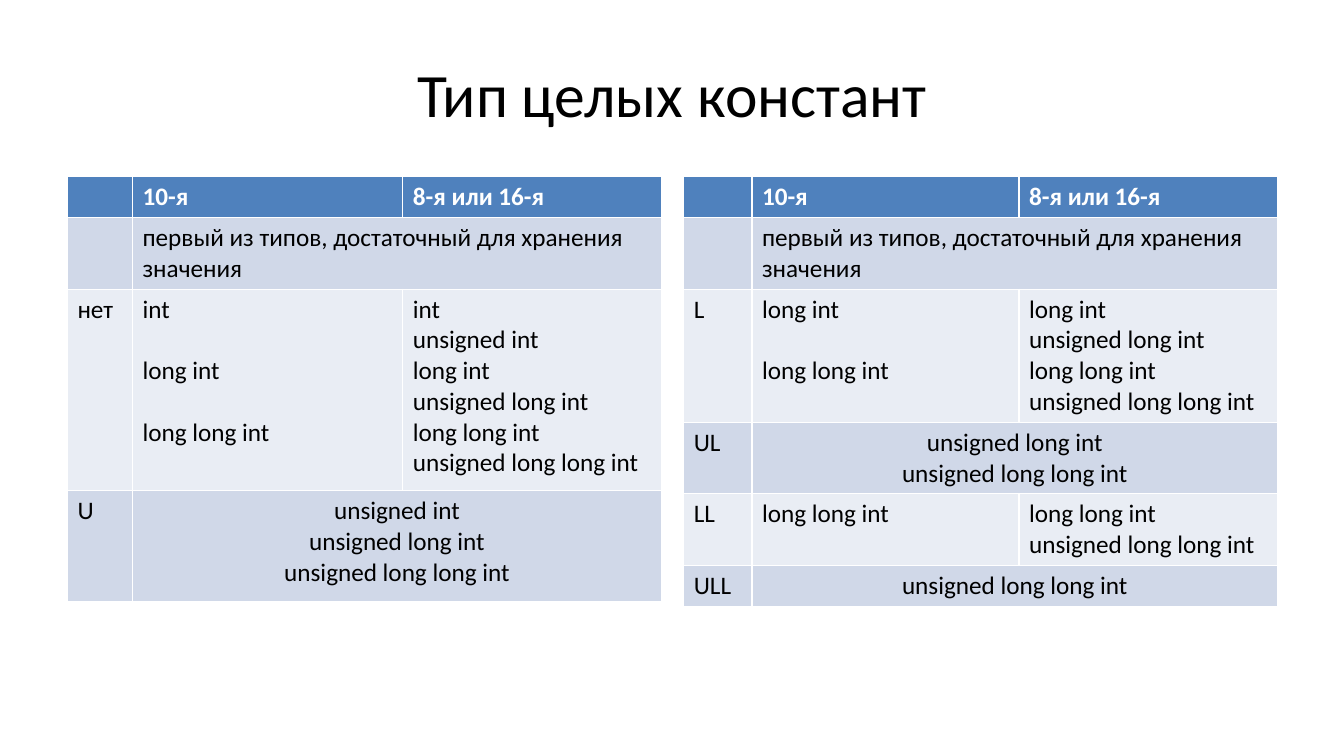
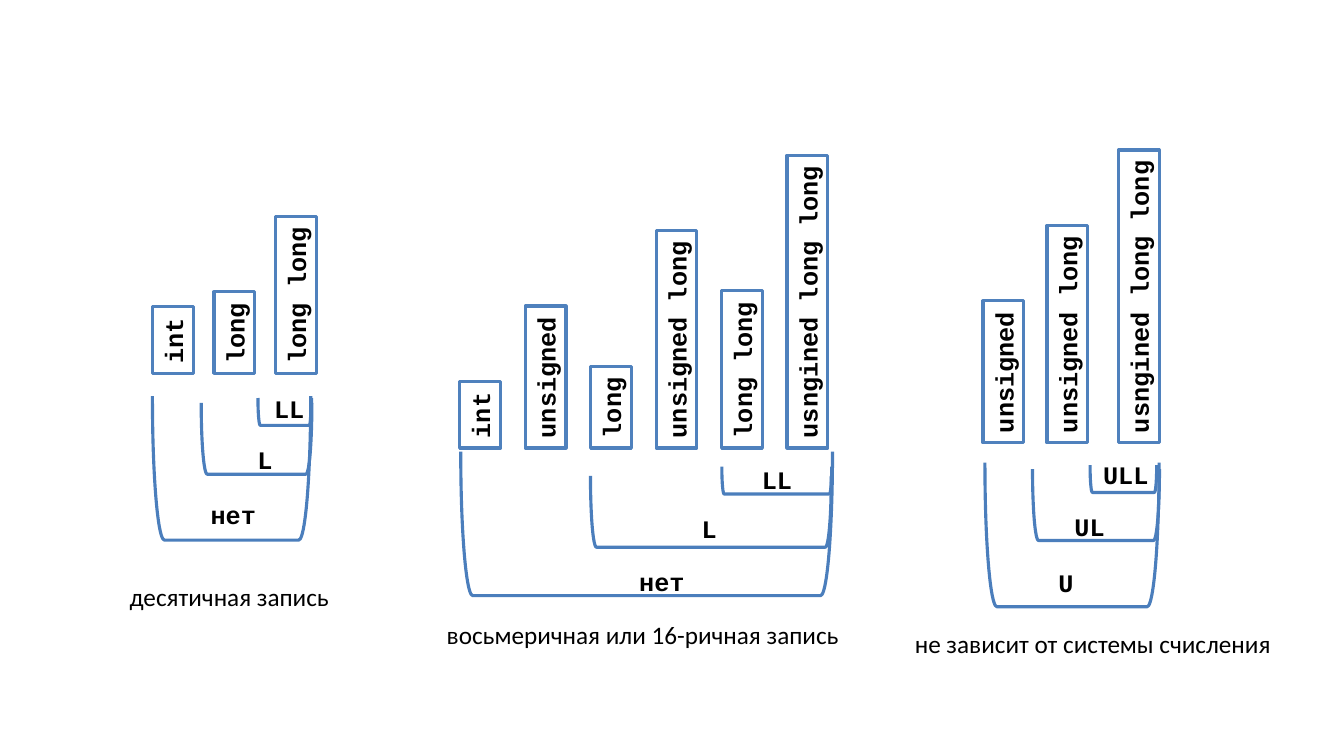
from pptx import Presentation
from pptx.dml.color import RGBColor
from pptx.enum.shapes import MSO_SHAPE
from pptx.enum.text import MSO_ANCHOR, PP_ALIGN
from pptx.util import Cm, Pt

BLUE, EDGE = "4F81BD", "4B7EBC"
BANDS = ["D0D8E8", "E9EDF4"]
BLACK, WHITE = "000000", "FFFFFF"
CODE = "Courier New"


def hue(code):
    return RGBColor.from_string(code)


def write(frame, text, size=18, font="Calibri", color=BLACK, bold=False,
          align=PP_ALIGN.LEFT, gap=0, wrap=True):
    frame.word_wrap = wrap
    for i, line in enumerate(text.split("\n")):
        para = frame.paragraphs[0] if i == 0 else frame.add_paragraph()
        para.alignment = align
        para.space_before = Pt(gap if i else 0)
        run = para.add_run()
        run.text = line
        run.font.size = Pt(size)
        run.font.name = font
        run.font.bold = bold
        run.font.color.rgb = hue(color)


deck = Presentation()
deck.slide_width, deck.slide_height = Cm(33.87), Cm(19.05)

slide = deck.slides.add_slide(deck.slide_layouts[5])
title = slide.shapes.title
title.left, title.top, title.width, title.height = Cm(1.7), Cm(0.76), Cm(30.48), Cm(3.18)
title.text_frame.vertical_anchor = MSO_ANCHOR.MIDDLE
write(title.text_frame, "Тип целых констант", size=44, align=PP_ALIGN.CENTER)

HEAD = [
    ["", "10-я", "8-я или 16-я"],
    ["", "первый из типов, достаточный для хранения значения"],
]
tables = [
    (1.7, [1.64, 6.81, 6.52], [1.03, 1.8, 5.08, 2.79], [
        ["нет", "int\nlong int\nlong long int",
         "int\nunsigned int\nlong int\nunsigned long int\nlong long int\nunsigned long long int"],
        ["U", "unsigned int\nunsigned long int\nunsigned long long int"],
    ]),
    (17.23, [1.72, 6.73, 6.52], [1.03, 1.8, 3.35, 1.8, 1.8, 1.03], [
        ["L", "long int\nlong long int",
         "long int\nunsigned long int\nlong long int\nunsigned long long int"],
        ["UL", "unsigned long int\nunsigned long long int"],
        ["LL", "long long int", "long long int\nunsigned long long int"],
        ["ULL", "unsigned long long int"],
    ]),
]
for left, wides, highs, body in tables:
    rows = HEAD + body
    grid = slide.shapes.add_table(len(rows), 3, Cm(left), Cm(4.45),
                                  Cm(sum(wides)), Cm(sum(highs))).table
    for col, wide in zip(grid.columns, wides):
        col.width = Cm(wide)
    for r, texts in enumerate(rows):
        grid.rows[r].height = Cm(highs[r])
        merged = len(texts) == 2
        if merged:
            grid.cell(r, 1).merge(grid.cell(r, 2))
        for c in range(3):
            cell = grid.cell(r, c)
            cell.fill.solid()
            cell.fill.fore_color.rgb = hue(BANDS[(r - 1) % 2] if r else BLUE)
        for c, text in enumerate(texts):
            if text:
                mid = merged and c == 1 and r > 1
                write(grid.cell(r, c).text_frame, text,
                      color=BLACK if r else WHITE, bold=r == 0,
                      align=PP_ALIGN.CENTER if mid else PP_ALIGN.LEFT,
                      gap=22 if c == 1 and not merged else 0)

slide = deck.slides.add_slide(deck.slide_layouts[6])
DEPTHS = [0.69, 1.8, 3.63]
BAR = 1.03
groups = [
    (9.41, [4.36 + 1.55 * i for i in range(3)], ["int", "long", "long long"], [
        ("LL", 6.5, 10.03, 1.35, 7.29, 9.78),
        ("L", 5.07, 10.15, 2.79, 6.68, 11.07),
        ("нет", 3.84, 9.98, 3.99, 5.88, 12.47),
    ], ("десятичная запись", 5.78, 14.53)),
    (11.29, [12.1 + 1.65 * i for i in range(6)],
     ["int", "unsigned", "long", "unsigned long", "long long", "usngined long long"], [
        ("LL", 18.19, 11.76, 2.77, 19.58, 11.58),
        ("L", 14.88, 11.99, 6.07, 17.87, 12.8),
        ("нет", 11.61, 11.38, 9.37, 16.68, 14.15),
    ], ("восьмеричная или 16-ричная запись", 16.2, 15.47)),
    (11.16, [25.29, 26.9, 28.7], ["unsigned", "unsigned long", "usngined long long"], [
        ("ULL", 27.47, 11.72, 1.68, 28.37, 11.46),
        ("UL", 26.02, 11.82, 3.2, 27.46, 12.75),
        ("U", 24.82, 11.66, 4.39, 26.86, 14.17),
    ], ("не зависит от системы счисления", 27.54, 15.7)),
]
for base, mids, words, spans, (note, note_x, note_y) in groups:
    lined = []
    for word, mid in zip(words, mids):
        size = 0.38 * len(word) + 0.54
        bar = slide.shapes.add_shape(MSO_SHAPE.RECTANGLE, Cm(mid - size / 2),
                                     Cm(base - size / 2 - BAR / 2), Cm(size), Cm(BAR))
        bar.rotation = 270
        write(bar.text_frame, word, font=CODE, bold=True, wrap=False)
        lined.append((bar, BLUE))

    labels = [(note, note_x, note_y, 11, "Calibri", False)]
    for (name, left, top, wide, x, y), deep in zip(spans, DEPTHS):
        brace = slide.shapes.add_shape(MSO_SHAPE.RIGHT_BRACKET,
                                       Cm(left + wide / 2 - deep / 2),
                                       Cm(top + deep / 2 - wide / 2), Cm(deep), Cm(wide))
        brace.rotation = 90
        lined.append((brace, EDGE))
        labels.append((name, x, y, 2.2, CODE, True))

    for shape, color in lined:
        shape.shadow.inherit = False
        shape.fill.background()
        shape.line.color.rgb = hue(color)
        shape.line.width = Pt(2.25)

    for text, x, y, wide, font, bold in labels:
        box = slide.shapes.add_textbox(Cm(x - wide / 2), Cm(y), Cm(wide), Cm(1.03))
        write(box.text_frame, text, font=font, bold=bold, align=PP_ALIGN.CENTER)

deck.save("out.pptx")
